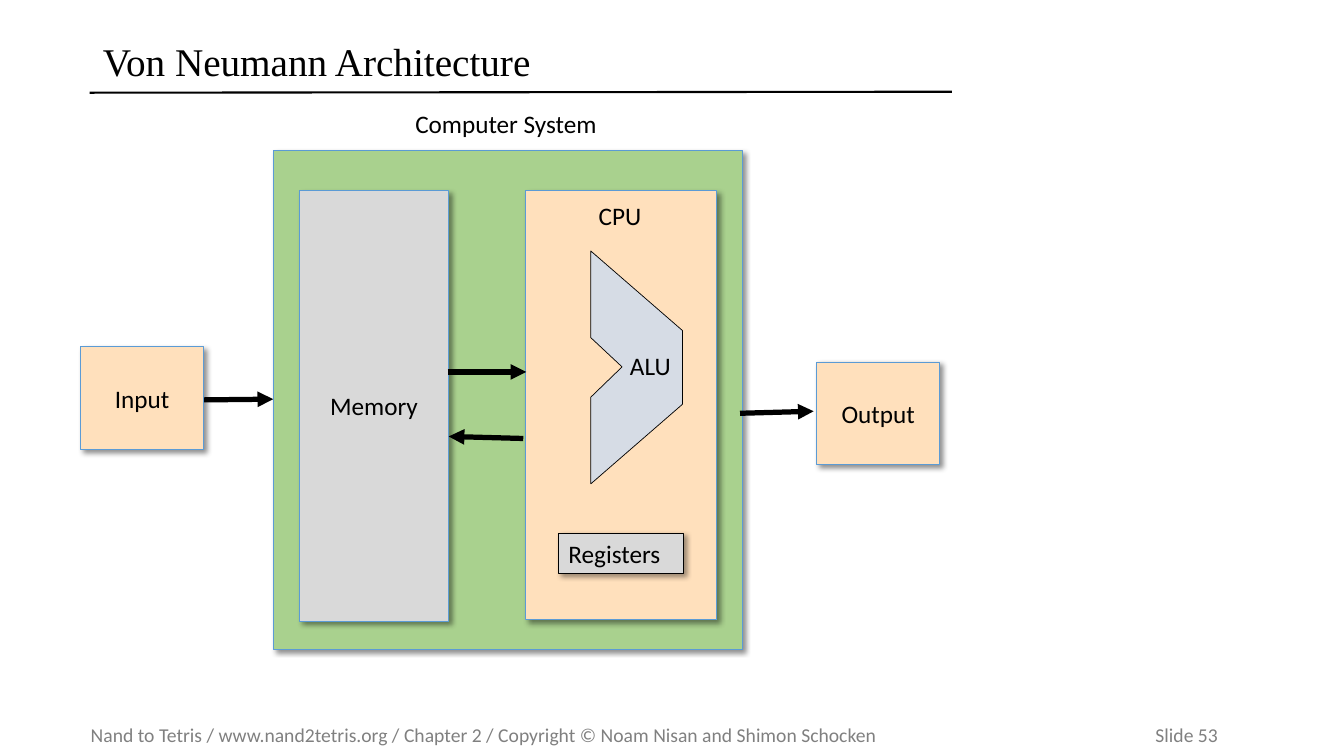
from dataclasses import dataclass

from lxml import etree
from pptx import Presentation
from pptx.dml.color import RGBColor
from pptx.enum.shapes import MSO_CONNECTOR, MSO_SHAPE
from pptx.enum.text import MSO_ANCHOR, MSO_AUTO_SIZE, PP_ALIGN
from pptx.oxml import parse_xml
from pptx.oxml.ns import nsdecls, qn
from pptx.util import Inches, Pt

RECTANGLE = MSO_SHAPE.RECTANGLE
STRAIGHT = MSO_CONNECTOR.STRAIGHT
MIDDLE, TOP = MSO_ANCHOR.MIDDLE, MSO_ANCHOR.TOP
LEFT, CENTER = PP_ALIGN.LEFT, PP_ALIGN.CENTER
NO_AUTOFIT = MSO_AUTO_SIZE.NONE
TITLE_ONLY = 5
UNIT = Inches(0.1)  # one column or row of the slide grid


@dataclass(frozen=True)
class Theme:
    black: str = "000000"
    footer_gray: str = "808080"
    border_blue: str = "5B9BD5"
    peach: str = "FFE0BC"
    green: str = "A9D18E"
    gray: str = "D9D9D9"
    pale_blue: str = "D6DCE5"
    title_font: str = "Times New Roman"
    body_font: str = "Calibri"
    title_size: float = 28
    label_size: float = 18
    footer_size: float = 14
    hairline: float = 0.5
    thin: float = 0.75
    rule: float = 1.5
    arrow: float = 3.75


def grid(*cells):
    return [round(cell * UNIT) for cell in cells]


class Diagram:
    """Draws on one slide; every length is in grid columns and rows."""

    def __init__(self, slide, theme):
        self.slide = slide
        self.theme = theme

    def add_text(self, frame, text, size=None, font=None, color=None,
                 align=LEFT, anchor=TOP):
        frame.word_wrap = True
        frame.auto_size = NO_AUTOFIT
        frame.vertical_anchor = anchor
        paragraph = frame.paragraphs[0]
        paragraph.alignment = align
        run = paragraph.add_run()
        run.text = text
        run.font.size = Pt(size or self.theme.label_size)
        run.font.name = font or self.theme.body_font
        run.font.color.rgb = RGBColor.from_string(color or self.theme.black)
        return paragraph

    def title(self, text, place):
        heading = self.slide.shapes.title
        heading.left, heading.top, heading.width, heading.height = grid(*place)
        paragraph = self.add_text(
            heading.text_frame, text, self.theme.title_size,
            self.theme.title_font, anchor=MIDDLE)
        paragraph.line_spacing = 0.9

    def label(self, text, place):
        caption = self.slide.shapes.add_textbox(*grid(*place))
        self.add_text(caption.text_frame, text)

    def footer(self, credit, number, place, number_column):
        frame = self.slide.shapes.add_textbox(*grid(*place)).text_frame
        frame.margin_left = frame.margin_right = 0
        properties = frame.paragraphs[0]._p.get_or_add_pPr()
        stops = etree.SubElement(properties, qn("a:tabLst"))
        etree.SubElement(stops, qn("a:tab"), algn="l",
                         pos=str(grid(number_column - place[0])[0]))
        self.add_text(frame, f"{credit}\t{number}", self.theme.footer_size,
                      color=self.theme.footer_gray, anchor=MIDDLE)

    def paint(self, shape, fill, border, width):
        shape.shadow.inherit = False
        shape.fill.solid()
        shape.fill.fore_color.rgb = RGBColor.from_string(fill)
        shape.line.color.rgb = RGBColor.from_string(border)
        shape.line.width = Pt(width)

    def cast_shadow(self, shape, opacity):
        effects = shape._element.spPr.find(qn("a:effectLst"))
        effects.append(parse_xml(
            f'<a:outerShdw {nsdecls("a")} blurRad="{Pt(4)}" dist="{Pt(3)}" '
            'dir="2700000" algn="tl" rotWithShape="0">'
            f'<a:srgbClr val="{self.theme.black}">'
            f'<a:alpha val="{opacity * 1000}"/></a:srgbClr></a:outerShdw>'))

    def block(self, place, fill, text="", border=None, width=None,
              opacity=43, align=CENTER, anchor=MIDDLE):
        part = self.slide.shapes.add_shape(RECTANGLE, *grid(*place))
        self.paint(part, fill, border or self.theme.border_blue,
                   width or self.theme.hairline)
        self.cast_shadow(part, opacity)
        if text:
            self.add_text(part.text_frame, text, align=align, anchor=anchor)

    def polygon(self, corners, fill):
        start, *others = [grid(*corner) for corner in corners]
        builder = self.slide.shapes.build_freeform(*start)
        builder.add_line_segments(others, close=True)
        self.paint(builder.convert_to_shape(), fill, self.theme.black,
                   self.theme.hairline)

    def line(self, start, end, width):
        connector = self.slide.shapes.add_connector(
            STRAIGHT, *grid(*start, *end))
        connector.line.color.rgb = RGBColor.from_string(self.theme.black)
        connector.line.width = Pt(width)
        etree.SubElement(connector._element.spPr, qn("a:effectLst"))
        return connector

    def arrow(self, start, end):
        connector = self.line(start, end, self.theme.arrow)
        stroke = connector._element.spPr.find(qn("a:ln"))
        etree.SubElement(stroke, qn("a:tailEnd"), type="triangle")


def main():
    deck = Presentation()
    deck.slide_width, deck.slide_height = Inches(13.33), Inches(7.5)
    theme = Theme()
    diagram = Diagram(
        deck.slides.add_slide(deck.slide_layouts[TITLE_ONLY]), theme)

    diagram.title("Von Neumann Architecture", (9.2, 3.2, 85.3, 6.3))
    diagram.line((8.9, 9.2), (94.4, 9.1), theme.rule)
    diagram.footer(
        "Nand to Tetris / www.nand2tetris.org / Chapter 2 / "
        "Copyright © Noam Nisan and Shimon Schocken",
        "Slide 53", (9, 71.2, 122.5, 3.4), number_column=114.6)

    diagram.arrow((17.7, 39.7), (27.1, 39.6))
    diagram.block((8, 34.4, 12.2, 10.2), theme.peach, "Input")
    diagram.block((27.1, 14.9, 46.5, 49.5), theme.green)
    diagram.block((52.1, 18.9, 19, 42.6), theme.peach)
    diagram.block((29.7, 18.9, 14.8, 42.7), theme.gray, "Memory")
    diagram.block((81, 35.9, 12.2, 10.2), theme.peach, "Output")
    diagram.block((55.4, 52.9, 12.4, 4), theme.gray, "Registers",
                  theme.black, theme.thin, opacity=40, align=LEFT, anchor=TOP)

    for start, end in (
        ((44.4, 36.9), (52.2, 36.9)),
        ((51.9, 43.5), (44.5, 43.3)),
        ((73.4, 41), (80.7, 40.8)),
    ):
        diagram.arrow(start, end)

    alu_left, alu_right, notch = 58.6, 67.7, 61.7
    diagram.polygon(
        [(alu_left, 24.9), (alu_right, 32.8), (alu_right, 40.1),
         (alu_left, 48), (alu_left, 39.4), (notch, 36.4), (alu_left, 33.5)],
        theme.pale_blue)

    for text, place in (
        ("CPU", (58.4, 19.4, 6.7, 4)),
        ("ALU", (61.5, 34.3, 6.4, 4)),
        ("Computer System", (40.2, 10.3, 21.2, 4)),
    ):
        diagram.label(text, place)

    deck.save("out.pptx")


if __name__ == "__main__":
    main()
